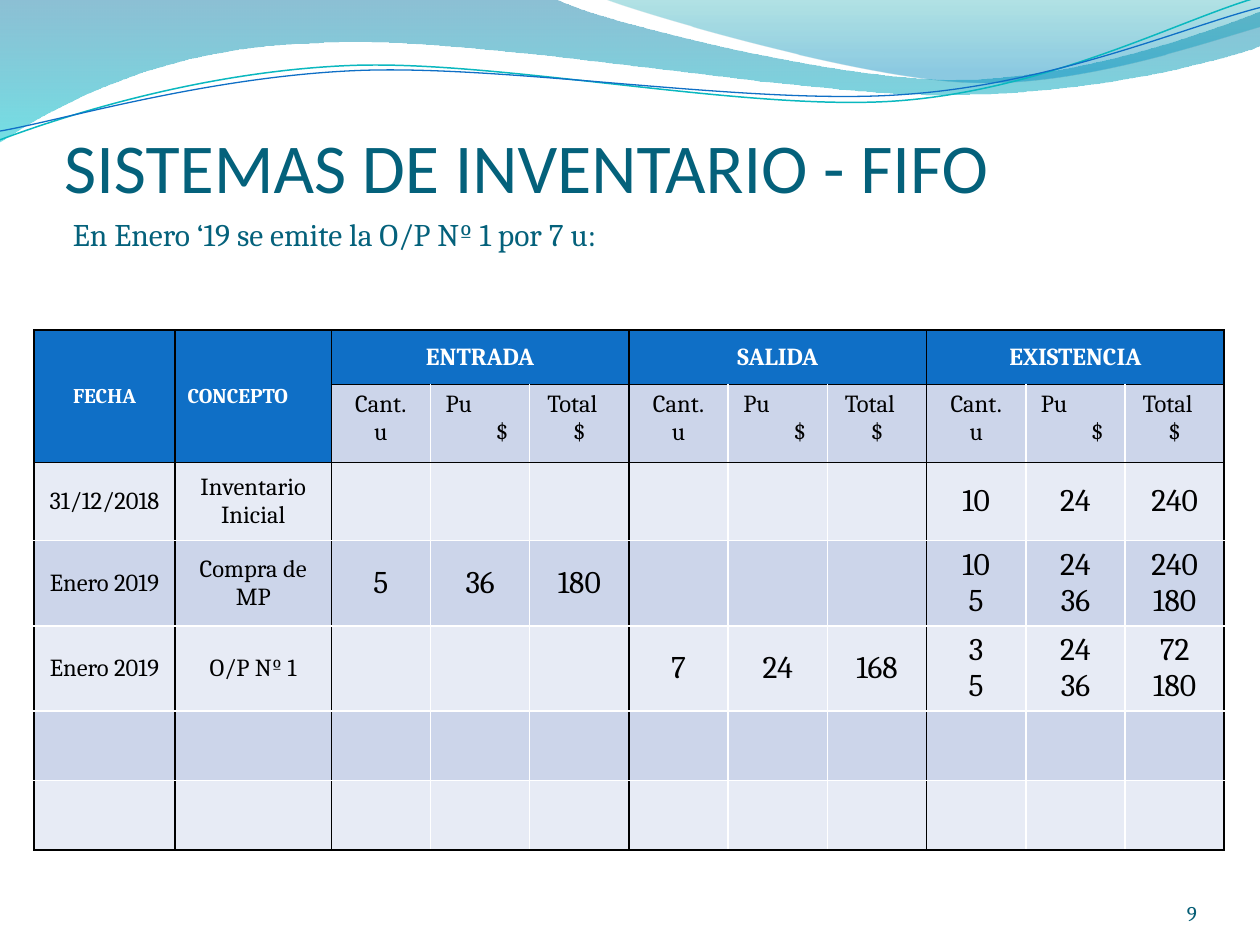
from dataclasses import dataclass
import math

import lxml.etree
import pptx
import pptx.dml.color
import pptx.enum.text
import pptx.oxml.ns
import pptx.util

Inches = pptx.util.Inches
Align = pptx.enum.text.PP_ALIGN
Anchor = pptx.enum.text.MSO_ANCHOR
qn = pptx.oxml.ns.qn


@dataclass(frozen=True)
class Theme:
    """Colours, fonts and type sizes of the slide."""
    ink: str = "000000"
    paper: str = "FFFFFF"
    heading: str = "04617B"
    number: str = "045D75"
    header: str = "0F6FC6"
    bands: tuple = ("E7EBF5", "CCD5EA")
    teal_line: str = "0AB8BF"
    blue_line: str = "0F6FC6"
    wide_wave: tuple = ((0, "0074A1", 45), (100, "00C6CF", 55))
    right_wave: tuple = ((0, "00A1A9", 30), (80, "008BBF", 45))
    title_font: str = "Calibri"
    body_font: str = "Cambria"
    title_size: int = 40
    large: int = 18
    medium: int = 14
    small: int = 12


@dataclass(frozen=True)
class Box:
    """A place on the slide, in inches."""
    left: float
    top: float
    width: float
    height: float

    def lengths(self):
        """Return the four measures as lengths."""
        return [Inches(n) for n in (self.left, self.top, self.width, self.height)]


THEME = Theme()
TILT = 357.3
WIDE_WAVE = [(0, 0), (4.4, -0.01), (4.76, 0.17, 6.64, 0.63, 7.58, 0.63),
             (8.53, 0.63, 9.58, 0.26, 10, 0.09), (10.01, 0.36),
             (9.83, 0.44, 8.7, 0.76, 7.46, 0.75), (6.22, 0.75, 3.82, 0.28, 2.57, 0.34),
             (1.29, 0.36, 0.46, 0.83, -0.01, 1.13), (0, 0)]
RIGHT_WAVE = [(4.79, -0.01), (5.09, 0.11, 6.82, 0.62, 7.69, 0.65),
              (8.56, 0.69, 9.61, 0.32, 10, 0.21), (10, 0), (4.79, -0.01)]
TEAL_CURVE = [(0, 1.11), (0.48, 0.93, 1.58, 0.57, 2.77, 0.52),
              (3.95, 0.47, 5.93, 0.89, 7.13, 0.8), (8.33, 0.71, 9.38, 0.15, 9.98, -0.02)]
BLUE_CURVE = [(0, 1.04), (0.47, 0.96, 1.64, 0.61, 2.83, 0.56),
              (4.03, 0.51, 5.97, 0.84, 7.17, 0.75), (8.36, 0.67, 9.41, 0.21, 10, 0.06)]

GROUP_STARTS = (2, 5, 8)
BLACK_EDGES = (0, 1, *GROUP_STARTS, 11)
ROW_HEIGHTS = (0.43, 0.62, 0.62, 0.66, 0.55, 0.55, 0.55)
LABEL_WIDTHS = (1.12, 1.24)
ROWS = [
    ["FECHA", "CONCEPTO", "ENTRADA", "", "", "SALIDA", "", "", "EXISTENCIA", "", ""],
    ["", ""] + ["Cant.\nu", "Pu\n$", "Total\n$"] * 3,
    ["31/12/2018", "Inventario Inicial"] + [""] * 6 + ["10", "24", "240"],
    ["Enero 2019", "Compra de MP", "5", "36", "180", "", "", "",
     "10\n5", "24\n36", "240\n180"],
    ["Enero 2019", "O/P Nº 1", "", "", "", "7", "24", "168",
     "3\n5", "24\n36", "72\n180"],
    [""] * 11,
    [""] * 11,
]
ALIGNS = {"CONCEPTO": (Align.LEFT,), "Pu\n$": (Align.LEFT, Align.RIGHT),
          "Total\n$": (Align.LEFT, Align.CENTER)}
SIDE_MARGINS = {"Pu\n$": (0.12, 0.17), "Total\n$": (0.14, 0.14)}


def write(frame, text, *, size, color, font=THEME.body_font, bold=False, aligns=(Align.LEFT,)):
    """Write one paragraph per line, cycling through the alignments."""
    for index, line in enumerate(text.split("\n")):
        para = frame.add_paragraph() if index else frame.paragraphs[0]
        para.alignment = aligns[index % len(aligns)]
        span = para.add_run()
        span.text = line
        span.font.name, span.font.size, span.font.bold = font, pptx.util.Pt(size), bold
        span.font.color.rgb = pptx.dml.color.RGBColor.from_string(color)


def set_frame(frame, anchor, margins):
    """Set wrapping, anchor and margins (left, top, right, bottom) of a text frame."""
    frame.word_wrap = True
    frame.auto_size = pptx.enum.text.MSO_AUTO_SIZE.NONE
    frame.vertical_anchor = anchor
    (frame.margin_left, frame.margin_top,
     frame.margin_right, frame.margin_bottom) = [Inches(n) for n in margins]


def turn(point, pivot, degrees):
    """Turn a point clockwise about the pivot."""
    angle = math.radians(degrees)
    x, y = point[0] - pivot[0], point[1] - pivot[1]
    return (pivot[0] + x * math.cos(angle) - y * math.sin(angle),
            pivot[1] + x * math.sin(angle) + y * math.cos(angle))


def add_outline(page, box, outline, closed, rotation=0):
    """Draw lines and cubic curves, rotated about the centre of the box."""
    pivot = (box.left + box.width / 2, box.top + box.height / 2)
    points = [turn(part[n:n + 2], pivot, -rotation)
              for part in outline for n in range(0, len(part), 2)]
    points = [(Inches(x), Inches(y)) for x, y in points]
    builder = page.shapes.build_freeform(*points[0], scale=1.0)
    builder.add_line_segments(points[1:], close=closed)
    shape = builder.convert_to_shape()
    shape.shadow.inherit = False
    shape.rotation = rotation
    segments = iter(list(shape.element.iter(qn("a:lnTo"))))
    for part in outline[1:]:
        segment = next(segments)
        if len(part) == 6:
            segment.tag = qn("a:cubicBezTo")
            for _ in range(2):
                extra = next(segments)
                segment.append(extra[0])
                extra.getparent().remove(extra)
    return shape


def add_wave(page, box, outline, stops):
    """Place a translucent wave with a vertical gradient."""
    wave = add_outline(page, box, outline, True)
    wave.line.fill.background()
    wave.fill.gradient()
    wave.fill.gradient_angle = 270
    for stop, (position, color, _) in zip(wave.fill.gradient_stops, stops):
        stop.position = position / 100
        stop.color.rgb = pptx.dml.color.RGBColor.from_string(color)
    for node, (_, _, opacity) in zip(wave.element.iter(qn("a:srgbClr")), stops):
        lxml.etree.SubElement(node, qn("a:alpha"), val=str(opacity * 1000))


def add_curve(page, box, outline, color, width):
    """Place a thin tilted curve."""
    curve = add_outline(page, box, outline, False, TILT)
    curve.fill.background()
    curve.line.color.rgb = pptx.dml.color.RGBColor.from_string(color)
    curve.line.width = pptx.util.Pt(width)


def add_title(page, box, text):
    """Place the title in front of the waves."""
    title = page.shapes.title
    title.left, title.top, title.width, title.height = box.lengths()
    set_frame(title.text_frame, Anchor.MIDDLE, (0, 0.05, 0, 0))
    write(title.text_frame, text, size=THEME.title_size, color=THEME.heading,
          font=THEME.title_font)
    title.element.getparent().append(title.element)


def add_text(page, box, text, anchor=Anchor.TOP, margins=(0.1, 0.05, 0.1, 0.05), **style):
    """Place a text box."""
    frame = page.shapes.add_textbox(*box.lengths()).text_frame
    set_frame(frame, anchor, margins)
    write(frame, text, **style)


def set_borders(cell, row, column):
    """Rule the heading and the column groups in black, the rest in white."""
    last = len(ROWS) - 1
    black = {"lnL": row == 0 or column in BLACK_EDGES,
             "lnR": row == 0 or column + 1 in BLACK_EDGES,
             "lnT": row <= 2, "lnB": row <= 1 or row == last}
    properties = cell._tc.get_or_add_tcPr()
    for tag, is_black in black.items():
        line = lxml.etree.SubElement(properties, qn("a:" + tag), w=str(pptx.util.Pt(1)))
        fill = lxml.etree.SubElement(line, qn("a:solidFill"))
        lxml.etree.SubElement(fill, qn("a:srgbClr"), val=THEME.ink if is_black else THEME.paper)


def fill_cell(cell, row, column, text):
    """Format one cell and write its text."""
    is_label = column < len(LABEL_WIDTHS)
    is_header = row == 0 or (row == 1 and is_label)
    set_borders(cell, row, column)
    cell.fill.solid()
    cell.fill.fore_color.rgb = pptx.dml.color.RGBColor.from_string(
        THEME.header if is_header else THEME.bands[row % 2])
    cell.vertical_anchor = Anchor.TOP if row == 1 else Anchor.MIDDLE
    if not text:
        return
    cell.margin_left, cell.margin_right = map(Inches, SIDE_MARGINS.get(text, (0.1, 0.1)))
    if is_header:
        size = THEME.small if is_label else THEME.medium
    else:
        size = THEME.medium if is_label or row == 1 else THEME.large
    write(cell.text_frame, text, size=size, bold=is_header,
          color=THEME.paper if is_header else THEME.ink,
          aligns=ALIGNS.get(text, (Align.CENTER,)))


def add_inventory(page, box):
    """Place the inventory table."""
    frame = page.shapes.add_table(len(ROWS), len(ROWS[0]), *box.lengths())
    table = frame.table
    table.first_row = table.horz_banding = False
    amount_width = (box.width - sum(LABEL_WIDTHS)) / 9
    for column, width in zip(table.columns, LABEL_WIDTHS + (amount_width,) * 9):
        column.width = Inches(width)
    for row, height in zip(table.rows, ROW_HEIGHTS):
        row.height = Inches(height)
    frame.height = Inches(box.height)
    for column in range(len(LABEL_WIDTHS)):
        table.cell(0, column).merge(table.cell(1, column))
    for start in GROUP_STARTS:
        table.cell(0, start).merge(table.cell(0, start + 2))
    for row, texts in enumerate(ROWS):
        for column, text in enumerate(texts):
            fill_cell(table.cell(row, column), row, column, text)


def main():
    """Build the slide and save it."""
    deck = pptx.Presentation()
    deck.slide_width, deck.slide_height = Inches(10), Inches(7.5)
    page = deck.slides.add_slide(deck.slide_layouts.get_by_name("Title Only"))
    add_wave(page, Box(-0.01, -0.01, 10.02, 1.14), WIDE_WAVE, THEME.wide_wave)
    add_wave(page, Box(4.79, -0.01, 5.21, 0.7), RIGHT_WAVE, THEME.right_wave)
    add_curve(page, Box(-0.02, 0.22, 10.02, 0.71), TEAL_CURVE, THEME.teal_line, 0.85)
    add_curve(page, Box(-0.02, 0.3, 10.03, 0.58), BLUE_CURVE, THEME.blue_line, 0.75)
    add_title(page, Box(0.51, 0.66, 9, 1.25), "SISTEMAS DE INVENTARIO - FIFO")
    add_text(page, Box(8.67, 6.95, 0.83, 0.4), "9", anchor=Anchor.BOTTOM, margins=(0, 0, 0, 0),
             size=THEME.small, color=THEME.number, aligns=(Align.RIGHT,))
    add_inventory(page, Box(0.27, 2.62, 9.45, 4.18))
    add_text(page, Box(0.48, 1.66, 8.83, 0.4), "En Enero ‘19 se emite la O/P Nº 1 por 7 u:",
             size=THEME.large, color=THEME.heading)
    deck.save("out.pptx")


if __name__ == "__main__":
    main()
